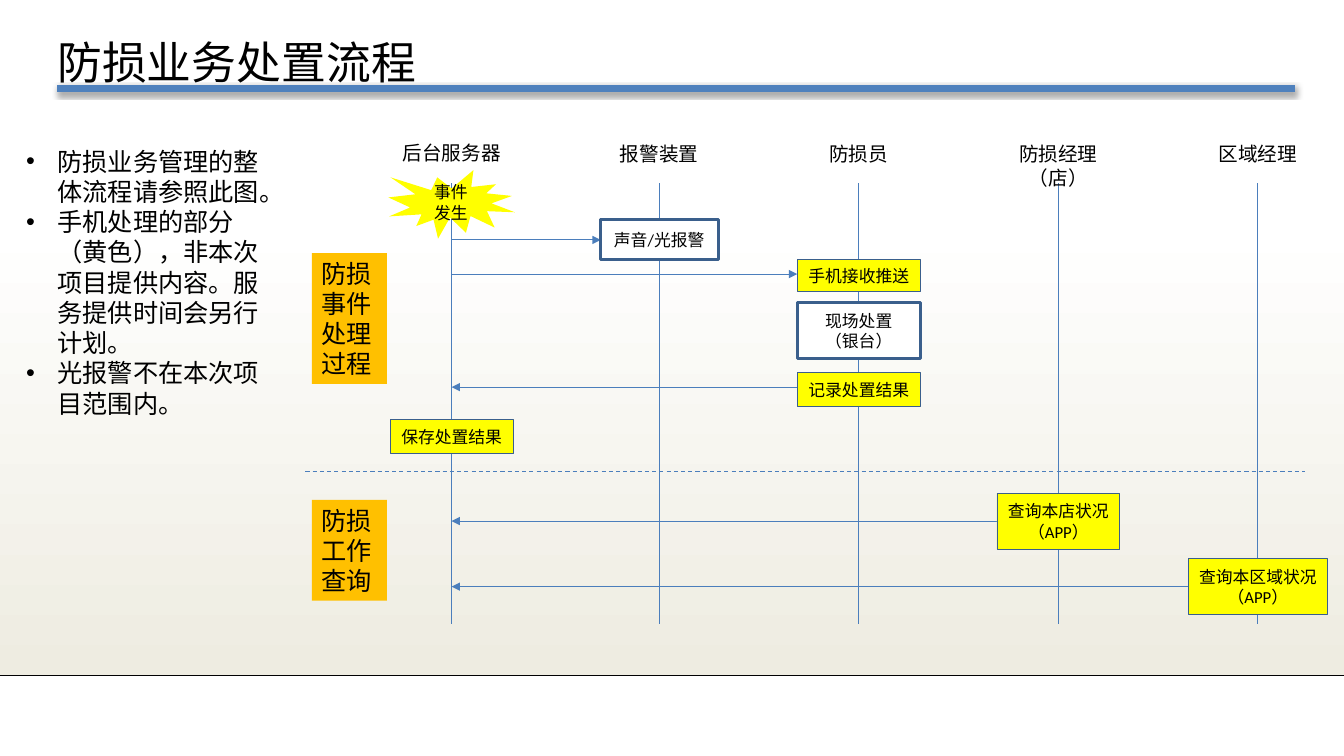
from lxml import etree
from pptx import Presentation
from pptx import util as u
from pptx.dml import color as col
from pptx.enum import dml, shapes, text
from pptx.oxml import ns

HUES = {"ink": "000000", "bar": "4F81BD", "line": "4B7EBC", "edge": "3A5F8C",
        "paper": "FFFFFF", "sand": "EEECE1", "phone": "FFFF00",
        "phase": "FFC000", "rule": "000001"}
SANS = "Noto Sans CJK SC"
BODY = "Calibri"


def hue(name):
    return col.RGBColor.from_string(HUES[name])


def add(node, tag, **attrs):
    return etree.SubElement(node, ns.qn(tag), **attrs)


class Board:
    def __init__(self, slide):
        self.slide = slide

    def letter(self, shape, rows, size, face, align="LEFT", anchor="TOP", pad=True):
        frame = shape.text_frame
        frame.word_wrap = True
        frame.vertical_anchor = text.MSO_ANCHOR[anchor]
        side, edge = (7.2, 3.6) if pad else (0, 0)
        frame.margin_left = frame.margin_right = u.Pt(side)
        frame.margin_top = frame.margin_bottom = u.Pt(edge)
        for i, row in enumerate(rows):
            para = frame.add_paragraph() if i else frame.paragraphs[0]
            para.text = row
            para.alignment = text.PP_ALIGN[align]
            font = para.font
            font.size, font.name = u.Pt(size), face
            font.color.rgb = hue("ink")
            add(font._element, "a:ea", typeface=SANS)
        return frame.paragraphs

    def label(self, x, y, w, h, rows, size, **style):
        area = self.slide.shapes.add_textbox(u.Pt(x), u.Pt(y), u.Pt(w), u.Pt(h))
        return self.letter(area, rows, size, SANS, **style)

    def bullets(self, x, y, w, h, rows, size):
        for para in self.label(x, y, w, h, rows, size):
            props = para._p.get_or_add_pPr()
            props.set("marL", str(u.Pt(22.5)))
            props.set("indent", str(-u.Pt(22.5)))
            for i, (tag, key, val) in enumerate((("a:buFont", "typeface", "Arial"),
                                                 ("a:buChar", "char", "•"))):
                mark = etree.Element(ns.qn(tag), {key: val})
                props.insert(i, mark)

    def shape(self, x, y, w, h, fill=None, edge=0, kind="RECTANGLE"):
        item = self.slide.shapes.add_shape(
            shapes.MSO_SHAPE[kind], u.Pt(x), u.Pt(y), u.Pt(w), u.Pt(h))
        item.shadow.inherit = False
        if fill:
            item.fill.solid()
            item.fill.fore_color.rgb = hue(fill)
        if edge:
            item.line.color.rgb = hue("edge")
            item.line.width = u.Pt(edge)
        else:
            item.line.fill.background()
        return item

    def fade(self, x, y, w, h, top, base):
        item = self.shape(x, y, w, h)
        item.fill.gradient()
        item.fill.gradient_angle = 270
        for stop, name in zip(item.fill.gradient_stops, (top, base)):
            stop.color.rgb = hue(name)

    def box(self, mid, y, w, h, rows, fill, edge=0.5, kind="RECTANGLE"):
        item = self.shape(mid - w / 2, y, w, h, fill, edge, kind)
        self.letter(item, rows, 12, BODY, "CENTER", "MIDDLE")

    def phase(self, y, h, name):
        item = self.shape(222.7, y, 53.6, h, "phase")
        self.letter(item, [name], 18, SANS)

    def line(self, x, y, to_x, to_y, tint="line", width=0.75,
             arrow=False, dash=False, glow=False):
        wire = self.slide.shapes.add_connector(
            shapes.MSO_CONNECTOR.STRAIGHT, u.Pt(x), u.Pt(y), u.Pt(to_x), u.Pt(to_y))
        wire.line.color.rgb = hue(tint)
        wire.line.width = u.Pt(width)
        if dash:
            wire.line.dash_style = dml.MSO_LINE.DASH
        if arrow:
            add(wire.line._get_or_add_ln(), "a:tailEnd", type="triangle")
        effects = add(wire._element.spPr, "a:effectLst")
        if glow:
            shade = add(effects, "a:outerShdw", blurRad=str(u.Pt(3.1)),
                        dist=str(u.Pt(1.8)), dir="5400000", rotWithShape="0")
            tone = add(shade, "a:srgbClr", val=HUES["ink"])
            add(tone, "a:alpha", val="35000")


def main():
    deck = Presentation()
    deck.slide_width, deck.slide_height = u.Pt(960), u.Pt(540)
    board = Board(deck.slides.add_slide(deck.slide_layouts[6]))

    board.fade(0, 159.1, 960, 323.3, "paper", "sand")
    board.line(0, 482.4, 960, 482.4, "rule", 1)
    title = board.label(41, 13.7, 884, 49.7, ["防损业务处置流程"], 32,
                        anchor="BOTTOM", pad=False)
    title[0].line_spacing = 0.9
    board.line(41, 63.2, 925.2, 63.2, "bar", 5.5, glow=True)
    board.bullets(11.5, 100.8, 195.1, 247, [
        "防损业务管理的整体流程请参照此图。",
        "手机处理的部分（黄色），非本次项目提供内容。服务提供时间会另行计划。",
        "光报警不在本次项目范围内。"], 18)

    server, alarm = 322.6, 470.9
    guard, chief, region = (alarm + 142.55 * i for i in (1, 2, 3))
    lanes = {"后台服务器": server, "报警装置": alarm, "防损员": guard,
             "防损经理（店）": chief, "区域经理": region}
    for name, mid in lanes.items():
        board.line(mid, 131, mid, 445.7)
        top = 97.2 if mid == server else 97.9
        board.label(mid - 55.4, top, 110.8, 24, [name], 14, align="CENTER")
    board.line(218.2, 337, 932.4, 337, dash=True)

    for start, end, y in ((server, 429.1, 171.4), (server, 569.5, 195.8),
                          (569.5, server, 276.5), (712.1, server, 372.2),
                          (848.9, server, 419)):
        board.line(start, y, end, y, arrow=True)

    board.box(alarm, 157, 84.2, 28.1, ["声音/光报警"], "paper", 2)
    board.box(guard, 216, 87.8, 40.3, ["现场处置", "（银台）"], "paper", 2)
    for mid, y, w, h, rows in (
            (guard, 185.2, 87.8, 23.2, ["手机接收推送"]),
            (guard, 265.9, 87.8, 24.4, ["记录处置结果"]),
            (server, 299.5, 87.8, 24.4, ["保存处置结果"]),
            (chief, 352.2, 87.8, 40.3, ["查询本店状况", "（APP）"]),
            (region, 398.9, 98.7, 40.3, ["查询本区域状况", "（APP）"])):
        board.box(mid, y, w, h, rows, "phone")
    board.phase(180.8, 93.4, "防损事件处理过程")
    board.phase(357.1, 72, "防损工作查询")
    board.box(server, 121.5, 90.4, 49, ["事件", "发生"], "phone", 0, "EXPLOSION1")

    deck.save("out.pptx")


if __name__ == "__main__":
    main()
